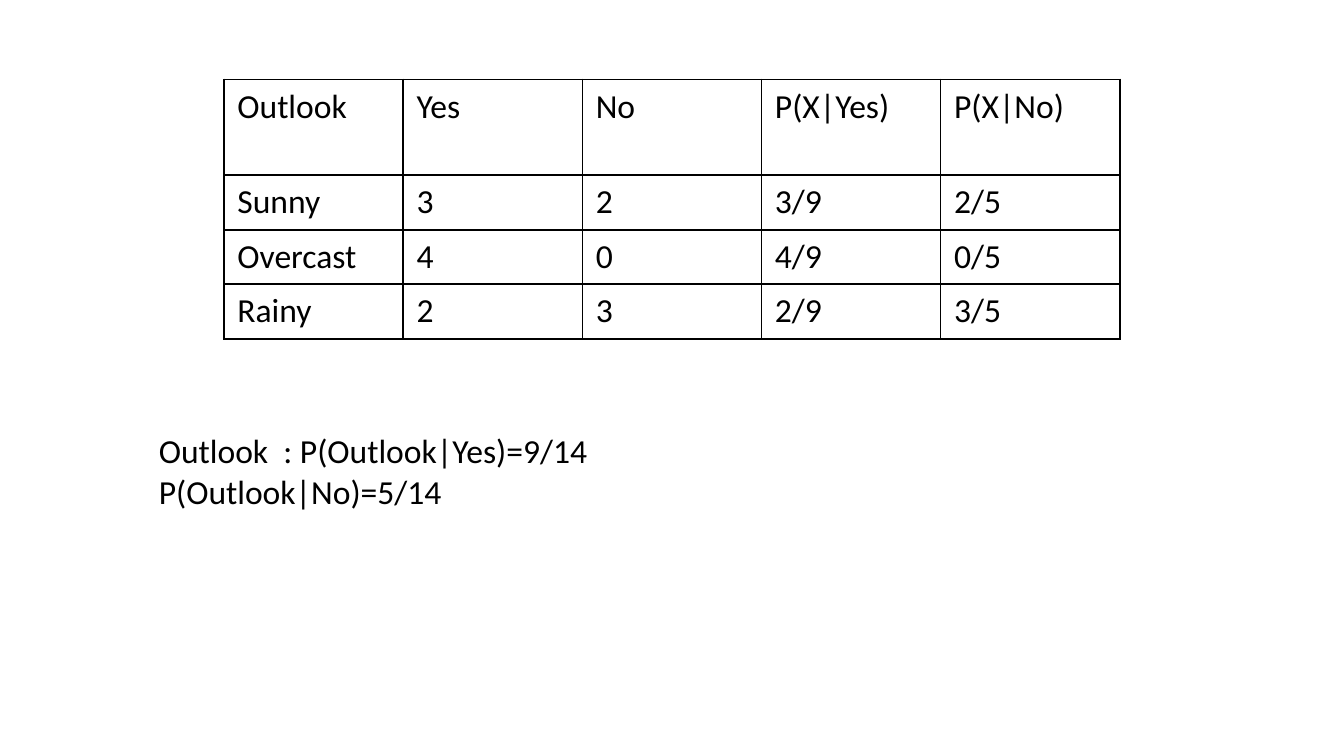
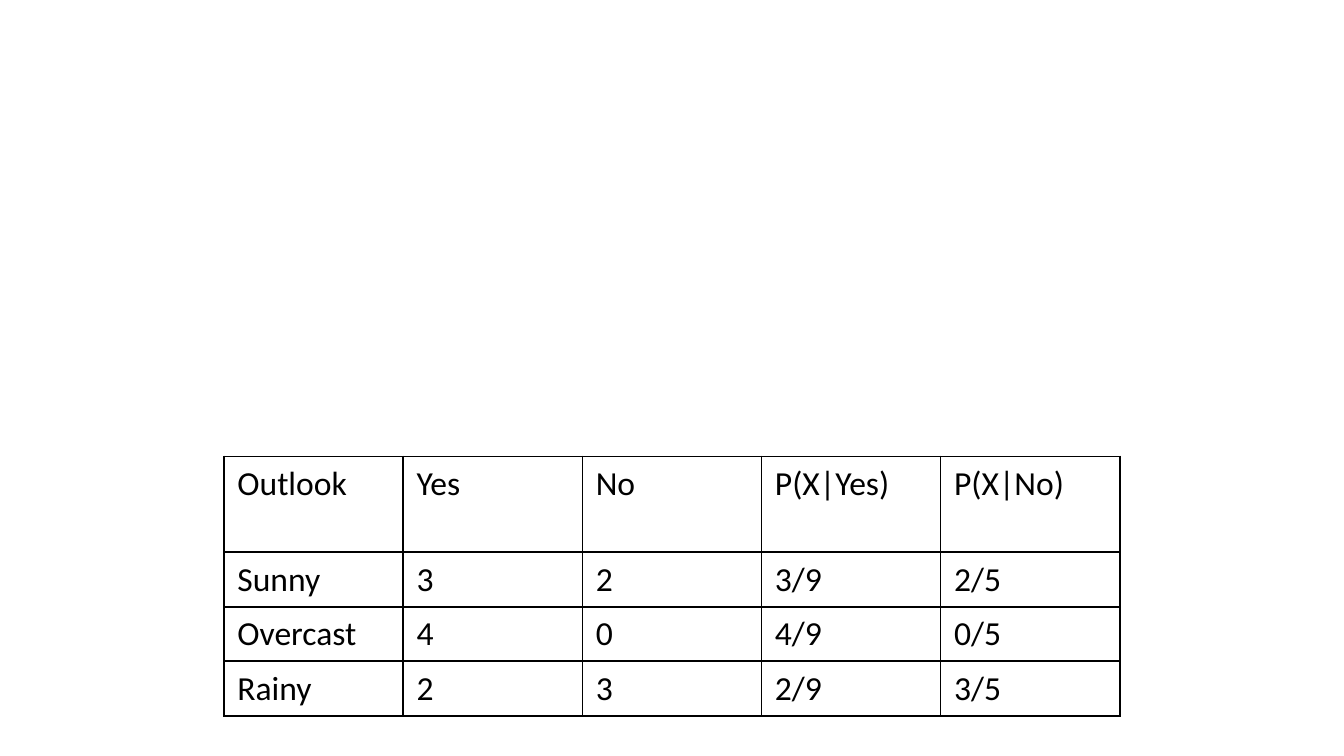
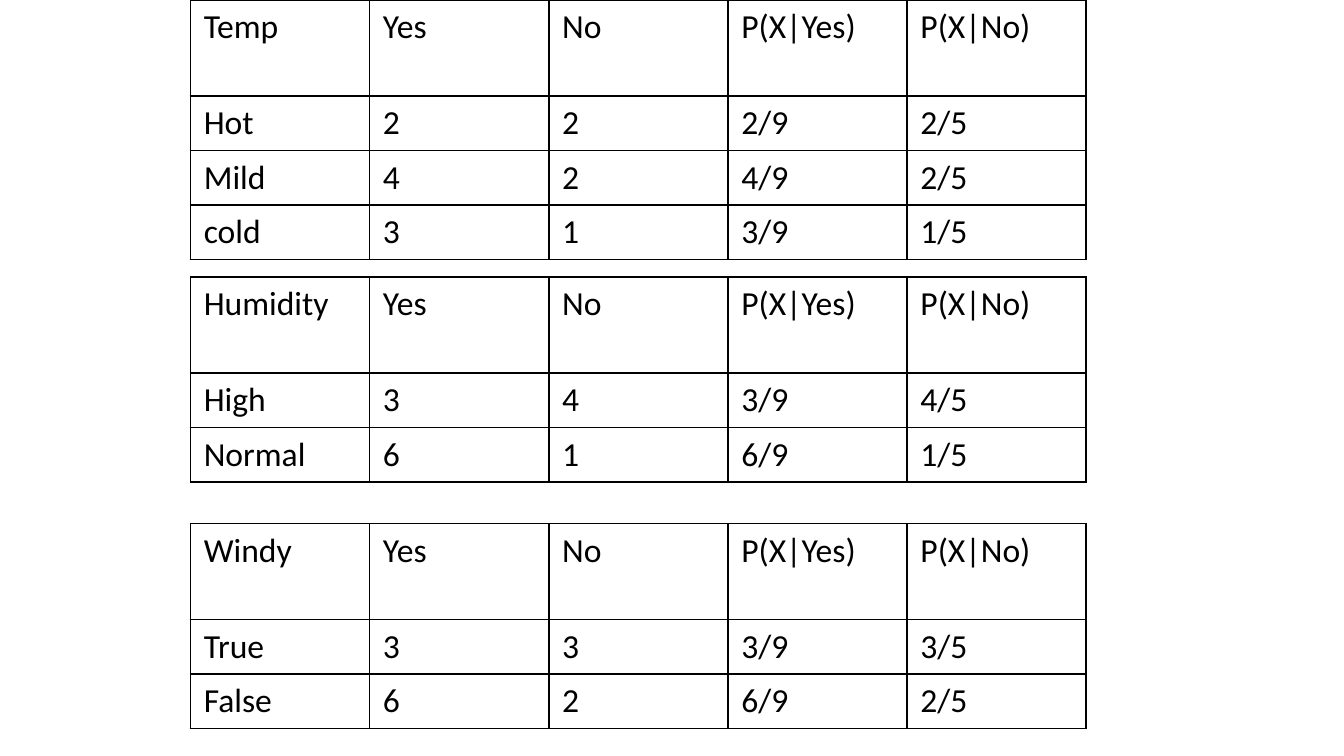
"""Build three slides of frequency and likelihood tables for weather features."""
from dataclasses import dataclass

from lxml.etree import SubElement
from pptx import Presentation
from pptx.dml.color import RGBColor
from pptx.enum.text import MSO_AUTO_SIZE
from pptx.oxml.ns import qn
from pptx.util import Pt


@dataclass(frozen=True)
class Theme:
    ink: str = "000000"
    paper: str = "FFFFFF"
    face: str = "Calibri"
    size: float = 18
    line: float = 1
    column: float = 96
    header: float = 51.4
    row: float = 29.2


class Deck:
    def __init__(self, theme):
        self.theme = theme
        self.show = Presentation()
        self.show.slide_width, self.show.slide_height = Pt(720), Pt(405)
        self.slide = None

    def page(self):
        self.slide = self.show.slides.add_slide(self.show.slide_layouts[6])
        fill = self.slide.background.fill
        fill.solid()
        fill.fore_color.rgb = RGBColor.from_string(self.theme.paper)

    def letter(self, frame, lines):
        frame.text = "\n".join(lines)
        form = {"name": self.theme.face, "size": Pt(self.theme.size), "bold": False}
        for para in frame.paragraphs:
            for run in para.runs:
                for key, value in form.items():
                    setattr(run.font, key, value)
                run.font.color.rgb = RGBColor.from_string(self.theme.ink)

    def text(self, left, top, width, height, lines):
        box = self.slide.shapes.add_textbox(Pt(left), Pt(top), Pt(width), Pt(height))
        form = {"word_wrap": False, "auto_size": MSO_AUTO_SIZE.SHAPE_TO_FIT_TEXT}
        for key, value in form.items():
            setattr(box.text_frame, key, value)
        self.letter(box.text_frame, lines)

    def border(self, cell):
        props = cell._tc.get_or_add_tcPr()
        for side in ("L", "R", "T", "B"):
            line = SubElement(props, qn(f"a:ln{side}"), w=str(Pt(self.theme.line)))
            fill = SubElement(line, qn("a:solidFill"))
            SubElement(fill, qn("a:srgbClr"), val=self.theme.ink)

    def table(self, left, top, title, counts):
        look = self.theme
        yeses, noes = (sum(pair) for pair in zip(*counts.values()))
        rows = [(title, "Yes", "No", "P(X|Yes)", "P(X|No)")]
        rows += [(name, str(yes), str(no), f"{yes}/{yeses}", f"{no}/{noes}")
                 for name, (yes, no) in counts.items()]
        width = look.column * len(rows[0])
        height = look.header + look.row * len(counts)
        grid = self.slide.shapes.add_table(
            len(rows), len(rows[0]), Pt(left), Pt(top), Pt(width), Pt(height)).table
        for key, value in {"first_row": False, "horz_banding": False}.items():
            setattr(grid, key, value)
        for column in grid.columns:
            column.width = Pt(look.column)
        for index, values in enumerate(rows):
            grid.rows[index].height = Pt(look.row if index else look.header)
            for cell, value in zip(grid.rows[index].cells, values):
                self.letter(cell.text_frame, [value])
                self.border(cell)
                cell.fill.background()


outlook = {"Sunny": (3, 2), "Overcast": (4, 0), "Rainy": (2, 3)}
deck = Deck(Theme())

deck.page()
deck.table(120, 42.5, "Outlook", outlook)
deck.text(78, 227, 247, 51, ["Outlook  : P(Outlook|Yes)=9/14", "P(Outlook|No)=5/14"])

deck.page()
deck.table(120, 244.5, "Outlook", outlook)

deck.page()
for top, title, counts in (
    (0, "Temp", {"Hot": (2, 2), "Mild": (4, 2), "cold": (3, 1)}),
    (148.5, "Humidity", {"High": (3, 4), "Normal": (6, 1)}),
    (280.5, "Windy", {"True": (3, 3), "False": (6, 2)}),
):
    deck.table(102, top, title, counts)

deck.show.save("out.pptx")
